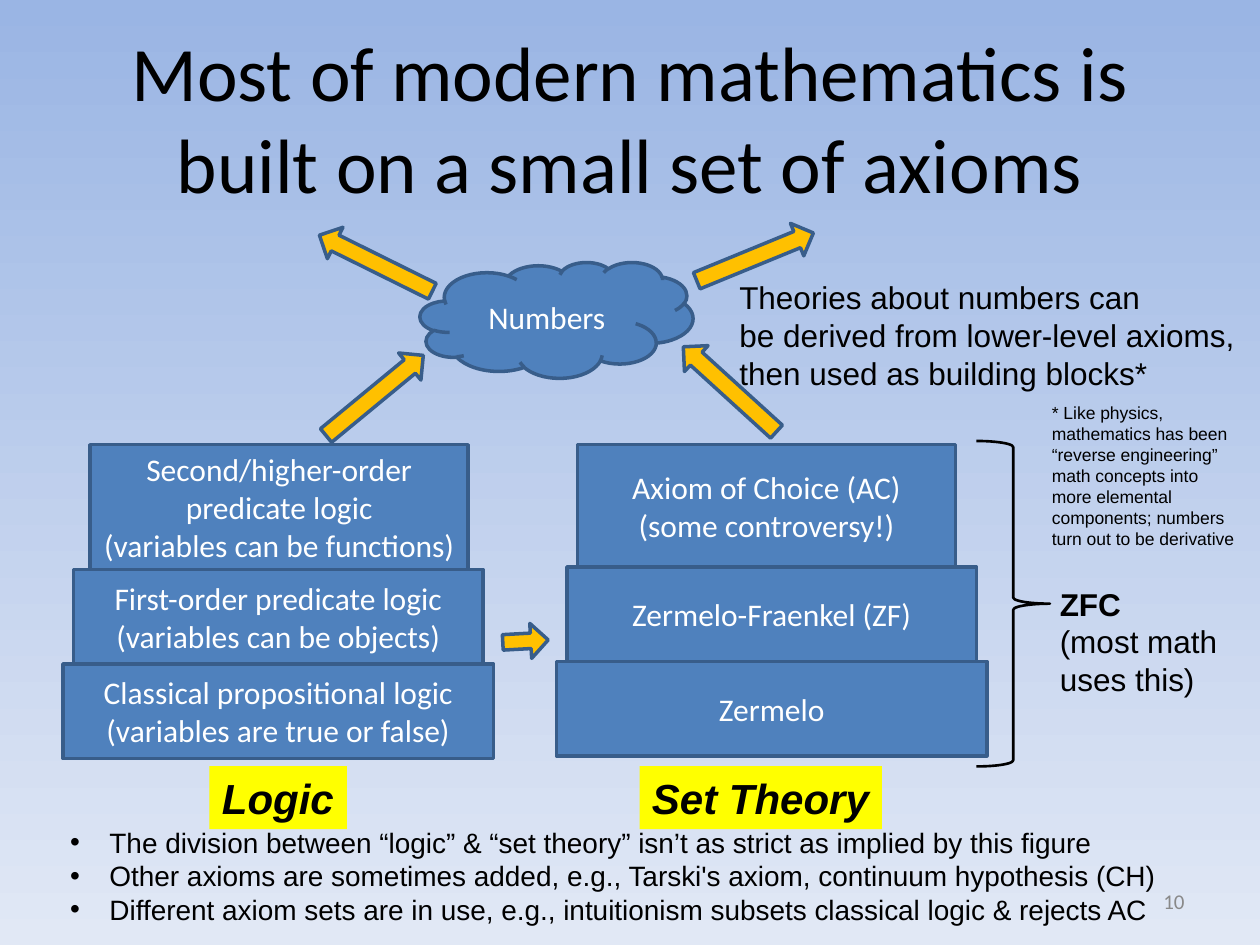
from lxml import etree
from pptx import Presentation
from pptx.dml.color import RGBColor
from pptx.enum import shapes, text
from pptx.oxml import ns
from pptx.util import Pt

COLORS = {
    "sky": "9AB5E4", "haze": "E1E8F5", "block": "4F81BD", "edge": "385D8A",
    "arrow": "FFC000", "label": "FFFF00", "ink": "000000", "white": "FFFFFF",
    "number": "898989",
}
SHAPE = shapes.MSO_SHAPE
ALIGN = text.PP_ALIGN
BLOCK_TEXT = {"name": "Calibri", "size": Pt(18), "color": "white"}
LABEL_TEXT = {"name": "Arial", "size": Pt(24), "bold": True, "italic": True, "color": "ink"}


def arial(size):
    return {"name": "Arial", "size": Pt(size), "color": "ink"}


def rgb(name):
    return RGBColor.from_string(COLORS[name])


def write(shape, lines, style, align=ALIGN.LEFT, anchor=text.MSO_ANCHOR.TOP, wrap=True):
    """Fill a shape with one paragraph per line and return the paragraphs."""
    frame = shape.text_frame
    frame.text = "\n".join(lines)
    for name, value in {"word_wrap": wrap, "vertical_anchor": anchor}.items():
        setattr(frame, name, value)
    for paragraph in frame.paragraphs:
        paragraph.alignment = align
        for name, value in style.items():
            if name == "color":
                paragraph.font.color.rgb = rgb(value)
            else:
                setattr(paragraph.font, name, value)
    return frame.paragraphs


def add_text(slide, box, lines, style, **layout):
    return write(slide.shapes.add_textbox(*map(Pt, box)), lines, style, **layout)


def add_filled(slide, kind, box, fill, edge="edge"):
    shape = slide.shapes.add_shape(kind, *map(Pt, box))
    shape.shadow.inherit = False
    shape.fill.solid()
    shape.fill.fore_color.rgb = rgb(fill)
    if edge:
        shape.line.color.rgb = rgb(edge)
        shape.line.width = Pt(2)
    else:
        shape.line.fill.background()
    return shape


def add_block(slide, kind, box, lines):
    block = add_filled(slide, kind, box, "block")
    write(block, lines, BLOCK_TEXT, ALIGN.CENTER, text.MSO_ANCHOR.MIDDLE)


def add_background(slide):
    fill = slide.background.fill
    fill.gradient()
    fill.gradient_angle = 270
    for stop, color in zip(fill.gradient_stops, ("sky", "haze")):
        stop.color.rgb = rgb(color)


def add_tower(slide, box, levels, label, label_span):
    """Stack the levels from the box's bottom up, with the label below."""
    left, bottom = box
    top = bottom
    for inset, width, height, lines in levels:
        top -= height
        add_block(slide, SHAPE.RECTANGLE, (left + inset, top, width, height), lines)
    label_left, label_width = label_span
    plate = add_filled(slide, SHAPE.RECTANGLE,
                       (left + label_left, 437.8, label_width, 36), "label", edge=None)
    write(plate, [label], LABEL_TEXT, wrap=False)


def add_zfc(slide, box):
    left, top, width, height = box
    brace = slide.shapes.add_shape(SHAPE.RIGHT_BRACE, *map(Pt, box))
    brace.shadow.inherit = False
    brace.fill.background()
    brace.line.color.rgb = rgb("ink")
    brace.line.width = Pt(1.5)
    lines = add_text(slide, (left + width - 1.5, top + 78.5, 104.4, 72),
                     ["ZFC", "(most math", "uses this)"], arial(18), wrap=False)
    lines[0].font.bold = True


def add_numbers(slide, box):
    """Draw the cloud and the arrows leading into and out of it."""
    left, top, width, height = box
    add_block(slide, SHAPE.CLOUD, box, ["Numbers"])
    arrows = [(-61.9, 66.2, 320.5), (155.5, -13, 337.7),
              (141.1, 62.6, 222.3), (-61.2, -9.4, 206.4)]
    for dx, dy, angle in arrows:
        add_arrow(slide, (left + dx, top + dy, 72, 20), angle)


def add_arrow(slide, box, angle, shaft=0.5):
    arrow = add_filled(slide, SHAPE.RIGHT_ARROW, box, "arrow")
    arrow.rotation = angle
    arrow.adjustments[0] = shaft


def add_remarks(slide, box, remarks):
    paragraphs = add_text(slide, box, remarks, {}, wrap=False)
    indent = Pt(22.5)
    for paragraph in paragraphs:
        props = paragraph._p.get_or_add_pPr()
        props.set("marL", str(indent))
        props.set("indent", str(-indent))
        etree.SubElement(props, ns.qn("a:buFont"), typeface="Arial")
        etree.SubElement(props, ns.qn("a:buChar"), char="•")
        paragraph.font.name = "Arial"
        paragraph.font.size = Pt(16)
        paragraph.font.color.rgb = rgb("ink")


def main():
    deck = Presentation()
    deck.slide_width, deck.slide_height = Pt(720), Pt(540)
    slide = deck.slides.add_slide(deck.slide_layouts[6])
    add_background(slide)
    middle = text.MSO_ANCHOR.MIDDLE
    add_text(slide, (36, 21.6, 648, 90),
             ["Most of modern mathematics is built on a small set of axioms"],
             {"name": "Calibri", "size": Pt(44), "color": "ink"},
             align=ALIGN.CENTER, anchor=middle)
    add_text(slide, (516.2, 500.4, 167.8, 28.8), ["10"],
             {"name": "Calibri", "size": Pt(12), "color": "number"},
             align=ALIGN.RIGHT, anchor=middle)
    add_tower(slide, (36, 433.4), [
        (0, 246, 54, ["Classical propositional logic", "(variables are true or false)"]),
        (6, 234, 54, ["First-order predicate logic", "(variables can be objects)"]),
        (15.6, 216, 71.3, ["Second/higher-order predicate logic",
                           "(variables can be functions)"]),
    ], "Logic", (83.7, 78.5))
    add_tower(slide, (318, 432), [
        (0, 246, 54, ["Zermelo"]),
        (6, 234, 54, ["Zermelo-Fraenkel (ZF)"]),
        (12, 216, 69.9, ["Axiom of Choice (AC)", "(some controversy!)"]),
    ], "Set Theory", (47.5, 138.5))
    add_zfc(slide, (558, 252, 42, 186))
    add_numbers(slide, (240, 149.8, 156, 66.2))
    add_text(slide, (415.4, 155.5, 297.4, 72),
             ["Theories about numbers can\vbe derived from lower-level axioms,"
              "\vthen used as building blocks*"], arial(18), wrap=False)
    add_arrow(slide, (287.3, 356.4, 26, 20), 356.9, shaft=0.44)
    add_remarks(slide, (33, 468, 636.5, 64.8), [
        "The division between “logic” & “set theory” isn’t as strict as implied by this figure",
        "Other axioms are sometimes added, e.g., Tarski's axiom, continuum hypothesis (CH)",
        "Different axiom sets are in use, e.g., intuitionism subsets classical logic & rejects AC",
    ])
    add_text(slide, (594, 226, 120.2, 91.4),
             ["* Like physics, mathematics has been “reverse engineering” math concepts into "
              "more elemental components; numbers turn out to be derivative"], arial(10))
    deck.save("out.pptx")


if __name__ == "__main__":
    main()
